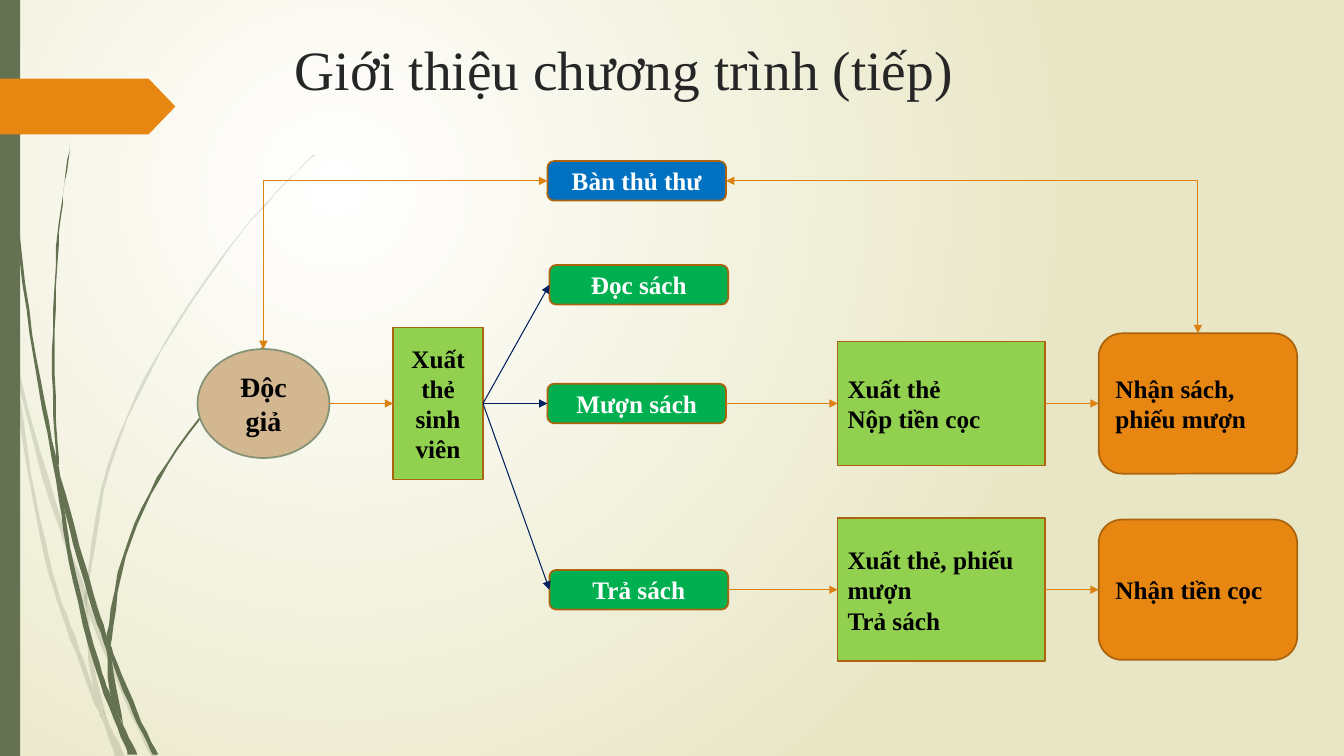
from lxml import etree
from pptx import Presentation
from pptx.dml.color import RGBColor
from pptx.enum import shapes, text
from pptx.oxml.ns import qn
from pptx.util import Pt

FONT = "Times New Roman"
WHITE = RGBColor(0xFF, 0xFF, 0xFF)
BLACK = RGBColor(0, 0, 0)
CREAM = RGBColor(0xE8, 0xE6, 0xC4)
INK = RGBColor(0x26, 0x26, 0x26)
MOSS = RGBColor(0x64, 0x72, 0x52)
SAGE = RGBColor(0x84, 0x92, 0x76)
TAN = RGBColor(0xD2, 0xB7, 0x90)
ORANGE = RGBColor(0xE7, 0x87, 0x12)
AMBER = RGBColor(0xDD, 0x81, 0x11)
BROWN = RGBColor(0xAB, 0x64, 0x0D)
LIME = RGBColor(0x92, 0xD0, 0x50)
GREEN = RGBColor(0x00, 0xB0, 0x50)
BLUE = RGBColor(0x00, 0x70, 0xC0)
NAVY = RGBColor(0x00, 0x20, 0x60)


def smooth(points, steps=5):
    """Return points on a Catmull-Rom curve through the given points."""
    padded = [points[0], *points, points[-1]]
    curve = [points[0]]
    for a, b, c, d in zip(padded, padded[1:], padded[2:], padded[3:]):
        for k in range(1, steps + 1):
            t = k / steps
            curve.append(tuple(
                b[i] + t / 2 * (c[i] - a[i]
                                + t * (2 * a[i] - 5 * b[i] + 4 * c[i] - d[i])
                                + t * t * (3 * (b[i] - c[i]) + d[i] - a[i]))
                for i in (0, 1)))
    return curve


def style_connector(c, color, both_ends=False):
    c.line.color.rgb = color
    c.line.width = Pt(0.75)
    ln = c.line._get_or_add_ln()
    for end in ("a:headEnd", "a:tailEnd") if both_ends else ("a:tailEnd",):
        etree.SubElement(ln, qn(end), type="triangle")
    etree.SubElement(c._element.spPr, qn("a:effectLst"))


prs = Presentation()
prs.slide_width, prs.slide_height = Pt(960), Pt(540)
s = prs.slides.add_slide(prs.slide_layouts[6])

# Background: radial gradient centred in the upper left
fill = s.background.fill
fill.gradient()
for stop, color in zip(fill.gradient_stops, (WHITE, CREAM)):
    stop.color.rgb = color
for stop, position in zip(fill.gradient_stops, (0, 1)):
    stop.position = position
lin = s._element.find(".//" + qn("a:lin"))
radial = etree.Element(qn("a:path"), path="circle")
etree.SubElement(radial, qn("a:fillToRect"), l="50000", t="50000", r="100000", b="100000")
lin.getparent().replace(lin, radial)

# Grass blades: opacity in percent, left edge, right edge
blades = [
    (20, [(0, 215.3), (7.2, 247.7), (12.2, 270.7), (30.2, 341.3), (41.8, 375.8),
          (60.5, 431.3), (63.4, 439.2), (88.6, 499.7), (108, 540)],
     [(0, 203), (6.5, 231.8), (10.1, 248.4), (20.2, 290.9), (44.6, 374.4),
      (61.2, 421.9), (66.2, 437), (91.4, 498.2), (111.6, 540)]),
    (20, [(7.9, 252), (20.2, 338.4), (35.3, 411.1), (46.8, 447.1), (66.2, 499),
          (72.7, 514.1), (82.1, 540)],
     [(7.9, 252), (12.2, 270.7), (22.3, 337.7), (38.2, 410.4), (50.4, 445.7),
      (67, 491.8), (75.6, 511.9), (89.3, 540)]),
    (20, [(224.6, 110.2), (208.1, 126), (193, 141.8), (164.2, 175.7), (113.8, 250.6),
          (77, 331.9), (61.2, 420.5), (60.5, 431.3), (62.6, 465.1), (67, 491.8),
          (75.6, 511.9)],
     [(224.6, 110.9), (208.8, 126), (193, 142.6), (164.9, 176.4), (115.2, 251.3),
      (79.2, 332.6), (63.4, 420.5), (63.4, 439.2), (65.5, 465.1), (75.6, 511.9)]),
    (100, [(2.2, 0), (2.9, 34.6), (5, 79.2), (12.2, 167.8), (23.8, 255.6), (40.3, 343.4),
           (49, 401), (67, 474.5), (84.2, 519.8), (91.4, 539.3)],
     [(2.9, 0), (3.6, 34.6), (5.8, 78.5), (13.7, 167), (25.9, 255.6), (39.6, 326.2),
      (46.1, 363.6), (51.8, 400.3), (70.6, 473), (79.2, 497.5), (87.8, 517.7),
      (97.9, 539.3)]),
    (100, [(50.4, 101.5), (44.6, 139), (40.3, 176.4), (37.4, 251.3), (39.6, 323.3),
           (46.1, 363.6), (63.4, 426.2), (76.3, 464.4), (79.9, 472.3), (95, 509.8),
           (109.4, 539.3)],
     [(50.4, 101.5), (45.4, 139), (41.8, 176.4), (38.9, 251.3), (41.8, 326.2),
      (43.2, 339.8), (67, 424.8), (76.3, 454.3), (81.4, 467.3), (97.9, 508.3),
      (113, 539.3)]),
    (100, [(187.2, 247.7), (176.4, 257.8), (166.3, 268.6), (146.9, 291.6), (112.3, 341.3),
           (87.8, 396.7), (76.3, 454.3), (76.3, 464.4), (79.2, 497.5), (87.8, 517.7)],
     [(187.9, 247.7), (176.4, 258.5), (166.3, 269.3), (147.6, 292.3), (113.8, 342.7),
      (90, 397.4), (79.9, 455.8), (79.9, 472.3), (87.8, 517.7)]),
]
for opacity, left_edge, right_edge in blades:
    outline = smooth(left_edge) + smooth(right_edge)[::-1]
    builder = s.shapes.build_freeform(*outline[0], scale=Pt(1))
    builder.add_line_segments(outline[1:], close=True)
    sp = builder.convert_to_shape()
    sp.shadow.inherit = False
    sp.line.fill.background()
    sp.fill.solid()
    sp.fill.fore_color.rgb = MOSS
    if opacity < 100:
        clr = sp._element.spPr.find(".//" + qn("a:srgbClr"))
        etree.SubElement(clr, qn("a:alpha"), val=str(opacity * 1000))

# Side bar and page marker
SHAPE = shapes.MSO_SHAPE
for kind, top, width, height, color in (
        (SHAPE.RECTANGLE, 0, 14.4, 540, MOSS),
        (SHAPE.PENTAGON, 56.2, 125.3, 39.8, ORANGE)):
    sp = s.shapes.add_shape(kind, 0, Pt(top), Pt(width), Pt(height))
    sp.shadow.inherit = False
    sp.line.fill.background()
    sp.fill.solid()
    sp.fill.fore_color.rgb = color
    if kind == SHAPE.PENTAGON:
        sp.adjustments[0] = 0.48

# Title
title = s.shapes.add_textbox(Pt(195.8), Pt(15.8), Pt(702), Pt(25.2))
tf = title.text_frame
tf.word_wrap = True
tf.margin_left, tf.margin_top = Pt(14.8), Pt(9.6)
r = tf.paragraphs[0].add_run()
r.text = "Giới thiệu chương trình (tiếp)"
r.font.name, r.font.size, r.font.color.rgb = FONT, Pt(39.6), INK

# Flowchart boxes: every box is centred on one of four rows
DESK_ROW, READ_ROW, BORROW_ROW, RETURN_ROW = 129.2, 203.4, 288.2, 421.2
LABEL, STEP, RESULT = (127.6, 28.2), (148.2, 88.6), (141.8, 100.2)
ROUND = SHAPE.ROUNDED_RECTANGLE
CENTER, LEFT = text.PP_ALIGN.CENTER, text.PP_ALIGN.LEFT
flow = [
    ("reader", SHAPE.OVAL, 141.1, BORROW_ROW, (94.2, 77.8), TAN, BLACK, CENTER, "Độc giả"),
    ("card", SHAPE.RECTANGLE, 280.8, BORROW_ROW, (64.2, 108.7), LIME, BLACK, CENTER,
     "Xuất thẻ sinh viên"),
    ("desk", ROUND, 391, DESK_ROW, LABEL, BLUE, WHITE, CENTER, "Bàn thủ thư"),
    ("read", ROUND, 392.5, READ_ROW, LABEL, GREEN, WHITE, CENTER, "Đọc sách"),
    ("borrow", ROUND, 391, BORROW_ROW, LABEL, GREEN, WHITE, CENTER, "Mượn sách"),
    ("return", ROUND, 392.5, RETURN_ROW, LABEL, GREEN, WHITE, CENTER, "Trả sách"),
    ("deposit", SHAPE.RECTANGLE, 598.3, BORROW_ROW, STEP, LIME, BLACK, LEFT,
     "Xuất thẻ\nNộp tiền cọc"),
    ("hand in", SHAPE.RECTANGLE, 598.3, RETURN_ROW, (148.2, 102.2), LIME, BLACK, LEFT,
     "Xuất thẻ, phiếu mượn\nTrả sách"),
    ("receive", ROUND, 784.8, BORROW_ROW, RESULT, ORANGE, BLACK, LEFT,
     "Nhận sách, phiếu mượn"),
    ("refund", ROUND, 784.8, RETURN_ROW, RESULT, ORANGE, BLACK, LEFT, "Nhận tiền cọc"),
]
boxes = {}
for name, kind, left, row, (width, height), color, ink, align, words in flow:
    sp = s.shapes.add_shape(kind, Pt(left), Pt(row - height / 2), Pt(width), Pt(height))
    boxes[name] = sp
    sp.shadow.inherit = False
    sp.fill.solid()
    sp.fill.fore_color.rgb = color
    sp.line.color.rgb = SAGE if name == "reader" else BROWN
    sp.line.width = Pt(1.25)
    tf = sp.text_frame
    tf.vertical_anchor = text.MSO_ANCHOR.MIDDLE
    for i, line in enumerate(words.split("\n")):
        p = tf.add_paragraph() if i else tf.paragraphs[0]
        p.alignment = align
        r = p.add_run()
        r.text = line
        r.font.name, r.font.bold, r.font.color.rgb = FONT, True, ink
        r.font.size = Pt(20 if name == "reader" else 18)

# Straight arrows, from right side to left side
for start, end, color in (
        ("reader", "card", AMBER), ("card", "read", NAVY), ("card", "return", NAVY),
        ("card", "borrow", NAVY), ("borrow", "deposit", AMBER), ("return", "hand in", AMBER),
        ("deposit", "receive", AMBER), ("hand in", "refund", AMBER)):
    a, b = boxes[start], boxes[end]
    c = s.shapes.add_connector(shapes.MSO_CONNECTOR.STRAIGHT, a.left + a.width,
                               a.top + a.height // 2, b.left, b.top + b.height // 2)
    if start != "reader":
        c.begin_connect(a, 3)
    c.end_connect(b, 1)
    style_connector(c, color)

# Two-way elbows from the desk down to the reader and the received books
desk = boxes["desk"]
for x, target in ((desk.left + desk.width, boxes["receive"]), (desk.left, boxes["reader"])):
    c = s.shapes.add_connector(shapes.MSO_CONNECTOR.ELBOW, x, desk.top + desk.height // 2,
                               target.left + target.width // 2, target.top)
    c._element.spPr.find(qn("a:prstGeom")).set("prst", "bentConnector2")
    style_connector(c, AMBER, both_ends=True)

prs.save("out.pptx")
